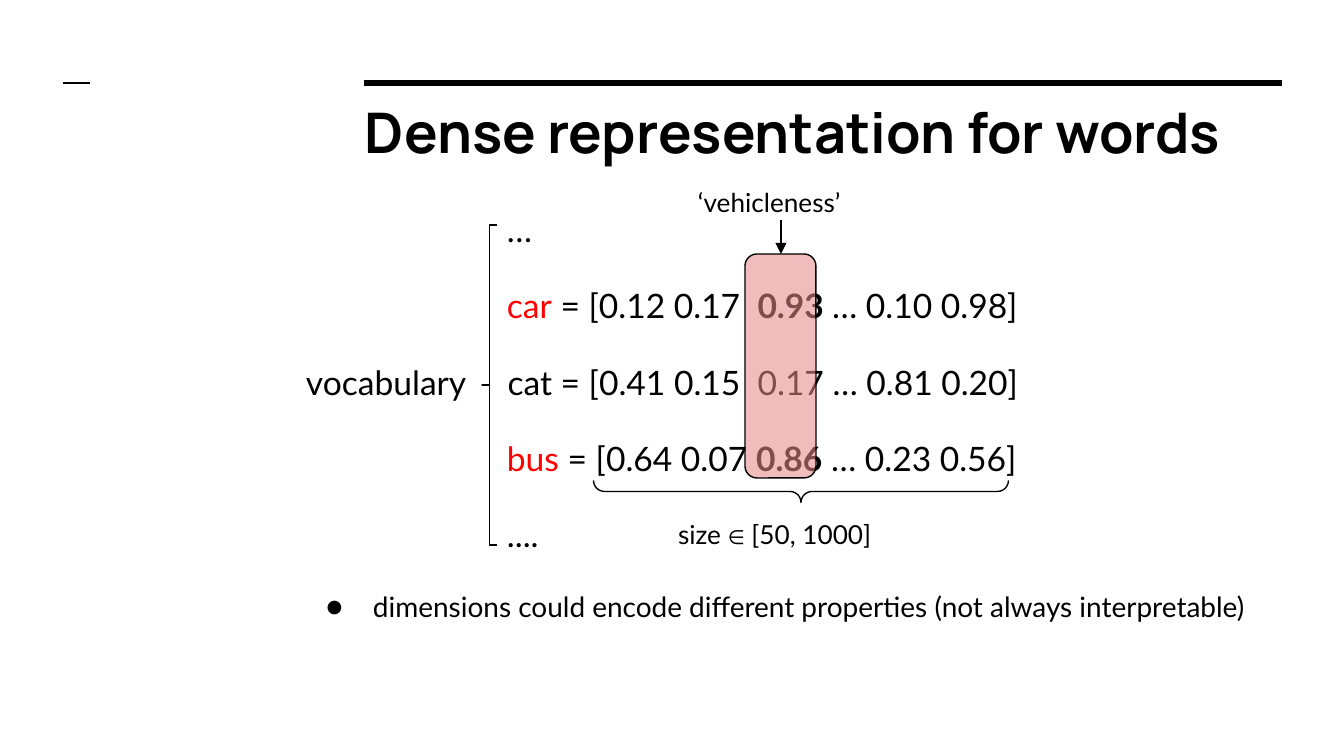
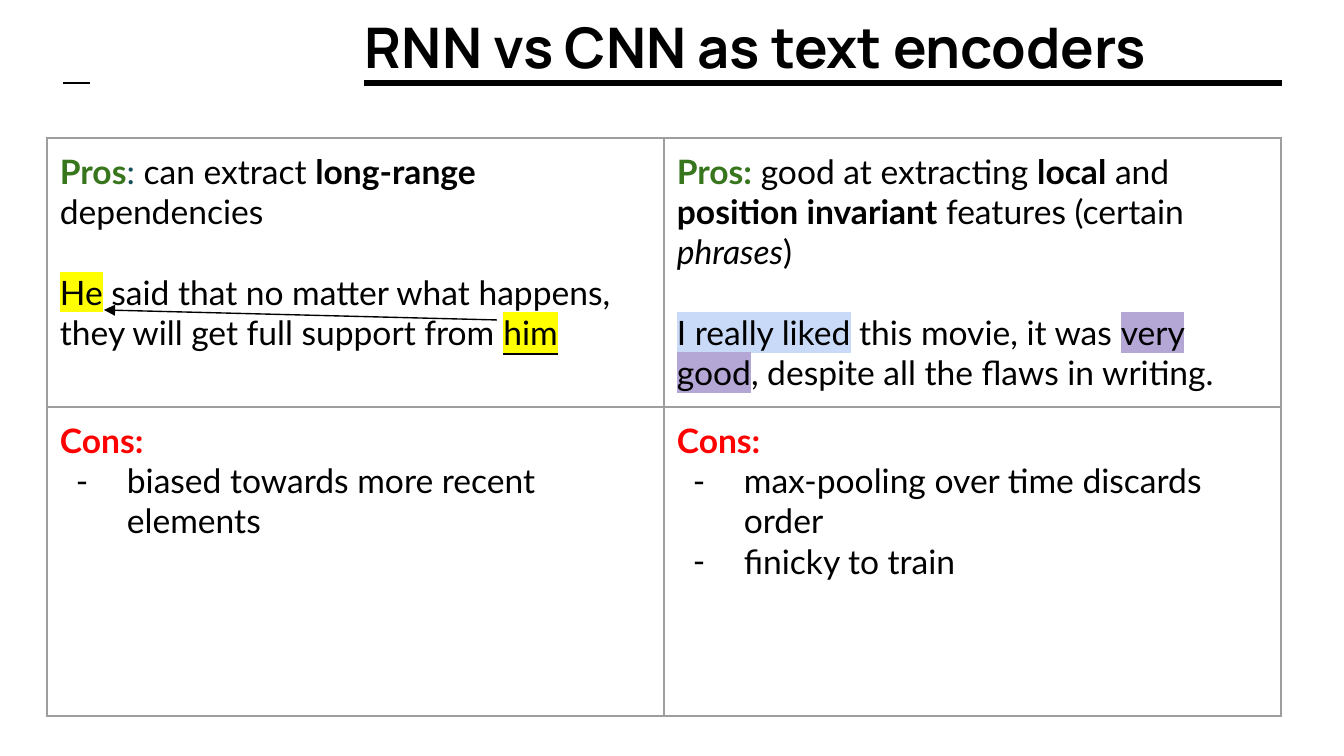
from dataclasses import dataclass

from lxml.etree import SubElement
from pptx import Presentation
from pptx.dml.color import RGBColor
from pptx.enum.shapes import MSO_CONNECTOR, MSO_SHAPE
from pptx.enum.text import MSO_ANCHOR, MSO_AUTO_SIZE, PP_ALIGN
from pptx.oxml.ns import qn
from pptx.util import Emu, Pt

PX_PER_INCH = 134.4
INSET = 13
BLACK, WHITE, RED, GREEN = "000000", "FFFFFF", "FF0000", "38761D"
GRID, PINK, TEAL = "9E9E9E", "E78888", "134F5C"
YELLOW, BLUE, PURPLE = "FFFF00", "C9DAF8", "B4A7D6"
TITLE_FACE, BODY_FACE = "Manrope", "Lato"


@dataclass
class Span:
    """A stretch of text with what sets it apart from its paragraph."""
    text: str
    color: str = None
    bold: bool = None
    italic: bool = None
    underline: bool = None
    highlight: str = None
    size: float = None
    face: str = None


@dataclass
class Para:
    """A paragraph with its spans and layout."""
    spans: list
    size: float = 18
    margin: int = 0
    indent: int = 0
    bullet: str = None
    tab: int = None
    before: float = 0
    spacing: float = 1.0
    face: str = BODY_FACE
    bold: bool = False


def px(length):
    """Turn pixels into EMU."""
    return Emu(round(length * 914400 / PX_PER_INCH))


def rgb(value):
    """Turn a hex string into a colour."""
    return RGBColor.from_string(value)


def add_solid(parent, value):
    """Add a solid fill element to an XML parent."""
    fill = SubElement(parent, qn("a:solidFill"))
    SubElement(fill, qn("a:srgbClr"), val=value)


def write_span(paragraph, span):
    """Add one run and its own formatting."""
    run = paragraph.add_run()
    run.text = span.text
    font = run.font
    font.bold, font.italic, font.underline = span.bold, span.italic, span.underline
    if span.color:
        font.color.rgb = rgb(span.color)
    if span.highlight:
        mark = SubElement(run._r.get_or_add_rPr(), qn("a:highlight"))
        SubElement(mark, qn("a:srgbClr"), val=span.highlight)
    if span.size:
        font.size = Pt(span.size)
    if span.face:
        font.name = span.face


def write_paragraph(paragraph, para):
    """Lay out a paragraph and fill in its spans."""
    paragraph.alignment = PP_ALIGN.LEFT
    paragraph.line_spacing = para.spacing
    paragraph.space_before = Pt(para.before)
    properties = paragraph._p.get_or_add_pPr()
    properties.set("marL", str(px(para.margin)))
    properties.set("indent", str(px(para.indent)))
    if para.bullet:
        tint = SubElement(properties, qn("a:buClr"))
        SubElement(tint, qn("a:srgbClr"), val=BLACK)
        SubElement(properties, qn("a:buFont"), typeface=BODY_FACE)
        SubElement(properties, qn("a:buChar"), char=para.bullet)
    else:
        SubElement(properties, qn("a:buNone"))
    if para.tab:
        stops = SubElement(properties, qn("a:tabLst"))
        SubElement(stops, qn("a:tab"), pos=str(px(para.tab)), algn="l")
    font = paragraph.font
    font.name, font.size, font.bold = para.face, Pt(para.size), para.bold
    font.color.rgb = rgb(BLACK)
    for span in para.spans:
        write_span(paragraph, span)


def write_paragraphs(frame, paras):
    """Fill a text frame with paragraphs."""
    for index, para in enumerate(paras):
        paragraph = frame.add_paragraph() if index else frame.paragraphs[0]
        write_paragraph(paragraph, para)


def fill_box(box, paras, anchor=MSO_ANCHOR.TOP):
    """Set up the frame of a text box or placeholder and fill it."""
    frame = box.text_frame
    frame.word_wrap = True
    frame.auto_size = MSO_AUTO_SIZE.NONE
    frame.vertical_anchor = anchor
    frame.margin_left = frame.margin_right = px(INSET)
    frame.margin_top = frame.margin_bottom = px(INSET)
    write_paragraphs(frame, paras)


def place(box, left, top, width, height):
    """Move and size a placeholder."""
    box.left, box.top = px(left), px(top)
    box.width, box.height = px(width), px(height)


def add_label(page, left, top, width, height, spans):
    """Add a small text box."""
    box = page.shapes.add_textbox(px(left), px(top), px(width), px(height))
    fill_box(box, [Para(spans, size=14)])


def add_line(page, start, end, weight, arrow=False):
    """Add a straight black line, with an arrowhead at its end if wanted."""
    line = page.shapes.add_connector(
        MSO_CONNECTOR.STRAIGHT, *map(px, start), *map(px, end))
    line.line.color.rgb = rgb(BLACK)
    line.line.width = Pt(weight)
    properties = line._element.spPr
    if arrow:
        SubElement(properties.find(qn("a:ln")), qn("a:tailEnd"), type="triangle")
    SubElement(properties, qn("a:effectLst"))


def add_outline(page, kind, left, top, width, height, adjustments):
    """Add an unfilled shape with a thin black outline."""
    shape = page.shapes.add_shape(kind, px(left), px(top), px(width), px(height))
    shape.shadow.inherit = False
    shape.fill.background()
    shape.line.color.rgb = rgb(BLACK)
    shape.line.width = Pt(0.75)
    for index, value in enumerate(adjustments):
        shape.adjustments[index] = value
    return shape


def add_page(deck, layout, title, top):
    """Add a slide with the two header rules and its title."""
    page = deck.slides.add_slide(deck.slide_layouts[layout])
    add_line(page, (364, 83), (1282, 83), 3)
    add_line(page, (63, 83), (90, 83), 1.5)
    place(page.shapes.title, 352, top, 929, 93)
    para = Para([Span(title)], size=30, face=TITLE_FACE, bold=True)
    fill_box(page.shapes.title, [para], MSO_ANCHOR.MIDDLE)
    return page


def fill_cell(cell, paras):
    """Format a table cell with grey borders and fill it with text."""
    cell.margin_left = cell.margin_right = px(INSET)
    cell.margin_top = cell.margin_bottom = px(INSET)
    properties = cell._tc.get_or_add_tcPr()
    for side in ("lnL", "lnR", "lnT", "lnB"):
        add_solid(SubElement(properties, qn(f"a:{side}"), w=str(Pt(0.75))), GRID)
    cell.fill.solid()
    cell.fill.fore_color.rgb = rgb(WHITE)
    write_paragraphs(cell.text_frame, paras)


def add_grid(page, left, top, widths, heights, rows):
    """Add a table of paragraph lists."""
    table = page.shapes.add_table(
        len(heights), len(widths), px(left), px(top),
        px(sum(widths)), px(sum(heights))).table
    table.first_row = table.horz_banding = False
    for column, width in zip(table.columns, widths):
        column.width = px(width)
    for row, height, contents in zip(table.rows, heights, rows):
        row.height = px(height)
        for cell, paras in zip(row.cells, contents):
            fill_cell(cell, paras)


def vector(spans, before=16):
    """Make one indented line of the vocabulary."""
    return Para(spans, margin=134, indent=67, before=before, spacing=1.15)


def cons(*items):
    """Make a cell text of drawbacks."""
    heading = Para([Span("Cons:", RED, bold=True)])
    return [heading] + [
        Para([Span(item)], margin=67, indent=-51, bullet="-") for item in items]


def build_dense_words(deck):
    """Build the slide on dense word vectors."""
    page = add_page(deck, 1, "Dense representation for words", 85)
    body = page.placeholders[1]
    place(body, 293, 190, 991, 391)
    fill_box(body, [
        vector([Span("…")], before=0),
        vector([Span("car", RED), Span(" = [0.12 0.17  "),
                Span("0.93 ", bold=True), Span("… 0.10 0.98]")]),
        Para([Span("vocabulary\tcat = [0.41 0.15  0.17 … 0.81 0.20]")],
             tab=269, before=16, spacing=1.15),
        vector([Span("bus", RED), Span(" = [0.64 0.07 "),
                Span("0.86", bold=True), Span(" … 0.23 0.56]")]),
        vector([Span("....")]),
        Para([Span("dimensions could encode different properties "
                   "(not always interpretable)")],
             size=15, margin=67, indent=-47, bullet="●", before=16, spacing=1.15),
    ])
    add_outline(page, MSO_SHAPE.LEFT_BRACE, 482, 225, 15, 320, (0, 0.5))
    size_brace = add_outline(
        page, MSO_SHAPE.RIGHT_BRACE, 790, 284, 22, 415, (0.5, 0.5))
    size_brace.rotation = 90
    add_label(page, 665, 505, 353, 51, [
        Span("size "), Span("∈", highlight=WHITE, size=10.5, face="DejaVu Sans"),
        Span(" [50, 1000]")])
    dimension = add_outline(
        page, MSO_SHAPE.ROUNDED_RECTANGLE, 745, 254, 71, 224, (0.167,))
    dimension.fill.solid()
    dimension.fill.fore_color.rgb = rgb(PINK)
    tint = dimension._element.spPr.find(qn("a:solidFill")).find(qn("a:srgbClr"))
    SubElement(tint, qn("a:alpha"), val="56000")
    add_label(page, 685, 173, 191, 47, [Span("‘vehicleness’")])
    add_line(page, (781, 220), (781, 254), 1.5, arrow=True)


def build_encoders(deck):
    """Build the slide that compares the two encoders."""
    page = add_page(deck, 5, "RNN vs CNN as text encoders", 0)
    rnn_pros = [
        Para([Span("Pros", GREEN, bold=True), Span(":", TEAL),
              Span(" can extract "), Span("long-range ", bold=True),
              Span("dependencies")]),
        Para([Span("He", highlight=YELLOW),
              Span(" said that no matter what happens,")], before=21.6),
        Para([Span("they will get full support from "),
              Span("him", underline=True, highlight=YELLOW)]),
    ]
    cnn_pros = [
        Para([Span("Pros:", GREEN, bold=True), Span(" good at extracting "),
              Span("local", bold=True), Span(" and "),
              Span("position invariant", bold=True),
              Span(" features (certain "), Span("phrases", italic=True),
              Span(")")]),
        Para([Span("I really liked", highlight=BLUE),
              Span(" this movie, it was "),
              Span("very good", highlight=PURPLE),
              Span(", despite all the flaws in writing.")], before=21.6),
    ]
    add_grid(page, 47, 138, (617, 617), (269, 309), [
        (rnn_pros, cnn_pros),
        (cons("biased towards more recent elements"),
         cons("max-pooling over time discards order", "finicky to train")),
    ])
    add_line(page, (497, 320), (104, 310), 0.75, arrow=True)


def main():
    """Build the deck and save it."""
    deck = Presentation()
    deck.slide_width, deck.slide_height = px(1344), px(756)
    build_dense_words(deck)
    build_encoders(deck)
    deck.save("out.pptx")


if __name__ == "__main__":
    main()
